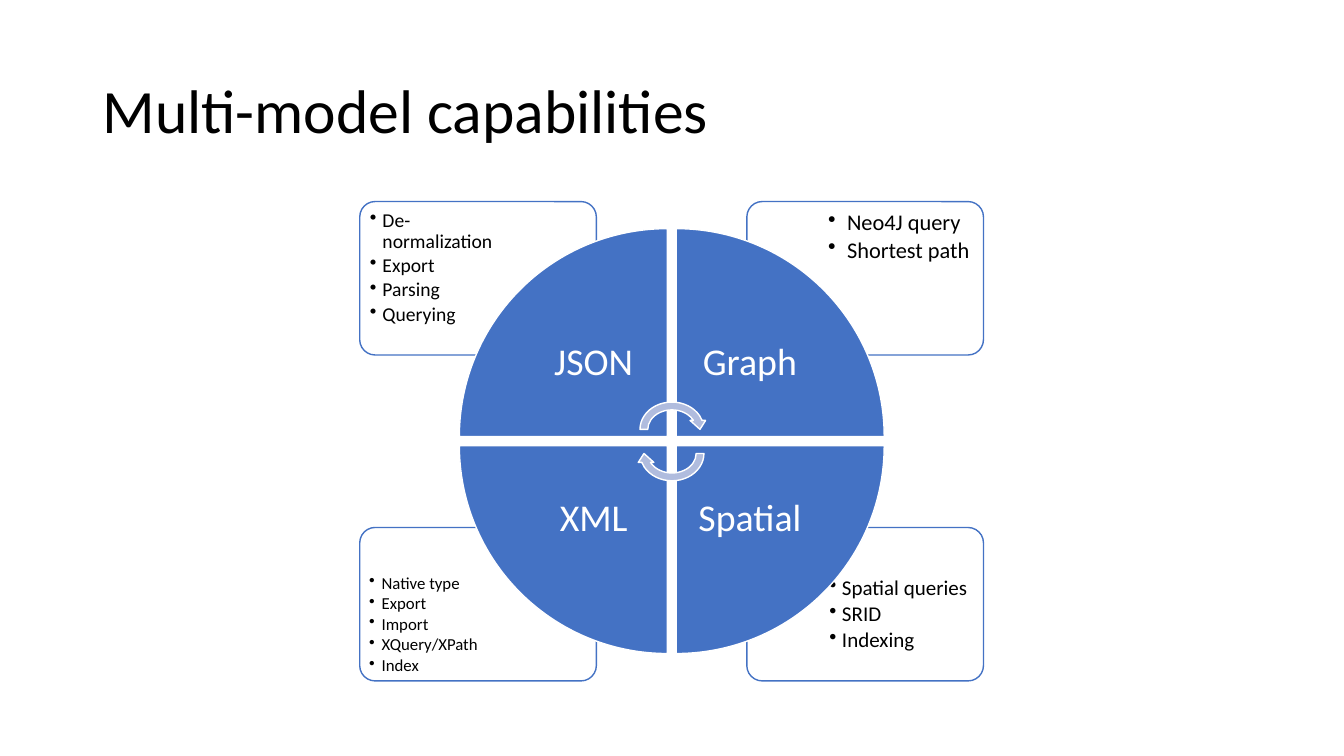
from lxml.etree import SubElement
from pptx import Presentation
from pptx.dml.color import RGBColor
from pptx.enum.shapes import MSO_SHAPE as Preset
from pptx.enum.text import MSO_ANCHOR as Anchor, MSO_AUTO_SIZE as AutoSize, PP_ALIGN as Align
from pptx.oxml.ns import qn
from pptx.util import Pt


def colour(code):
    return RGBColor.from_string(code)


class ModelSlide:
    font = "Calibri"
    blue, pale, white, black = "4472C4", "B0BCDE", "FFFFFF", "000000"

    def __init__(self, deck):
        self.slide = deck.slides.add_slide(deck.slide_layouts[5])

    def add_text(self, paragraph, text, size, ink):
        paragraph.line_spacing = 0.9
        run = paragraph.add_run()
        run.text = text
        run.font.name = self.font
        run.font.size = Pt(size)
        run.font.color.rgb = colour(ink)

    def title(self, text, x, y, width, height):
        heading = self.slide.shapes.title
        heading.left, heading.top = Pt(x), Pt(y)
        heading.width, heading.height = Pt(width), Pt(height)
        frame = heading.text_frame
        frame.word_wrap = True
        frame.auto_size = AutoSize.NONE
        frame.vertical_anchor = Anchor.MIDDLE
        frame.paragraphs[0].alignment = Align.LEFT
        self.add_text(frame.paragraphs[0], text, 44, self.black)

    def shape(self, preset, x, y, width, height, fill, line, turn=0):
        item = self.slide.shapes.add_shape(preset, Pt(x), Pt(y), Pt(width), Pt(height))
        item.shadow.inherit = False
        item.fill.solid()
        item.fill.fore_color.rgb = colour(fill)
        item.line.color.rgb = colour(line)
        item.line.width = Pt(1)
        item.rotation = turn
        return item

    def card(self, x, y):
        card = self.shape(Preset.ROUNDED_RECTANGLE, x, y, 169, 109.6, self.white, self.blue)
        card.adjustments[0] = 0.1
        tint = card._element.spPr.find(qn("a:solidFill"))[0]
        SubElement(tint, qn("a:alpha"), val="90000")

    def frame(self, x, y, width, height, inset):
        box = self.slide.shapes.add_textbox(Pt(x), Pt(y), Pt(width), Pt(height))
        frame = box.text_frame
        frame.word_wrap = True
        frame.margin_left = frame.margin_right = Pt(inset)
        frame.margin_top = frame.margin_bottom = Pt(inset)
        return frame

    def bullets(self, x, y, features, size, inset, indent):
        frame = self.frame(x, y, 113.8, 77.8, inset)
        for index, feature in enumerate(features):
            paragraph = frame.add_paragraph() if index else frame.paragraphs[0]
            paragraph.level = 1
            props = paragraph._p.get_or_add_pPr()
            props.set("marL", str(Pt(indent)))
            props.set("indent", str(-Pt(indent)))
            SubElement(props, qn("a:buChar"), char="•")
            paragraph.space_after = Pt(0.15 * size)
            self.add_text(paragraph, feature, size, self.black)

    def label(self, x, y, text):
        frame = self.frame(x, y, 105.1, 105.1, 15)
        frame.vertical_anchor = Anchor.MIDDLE
        frame.paragraphs[0].alignment = Align.CENTER
        self.add_text(frame.paragraphs[0], text, 27, self.white)

    def wedge(self, x, y, turn):
        self.shape(Preset.PIE_WEDGE, x, y, 148.5, 148.5, self.blue, self.white, turn)

    def cycle_arrow(self, y, turn):
        self.shape(Preset.CIRCULAR_ARROW, 454.4, y, 51.2, 44.6, self.pale, self.white, turn)


MODELS = [
    ("JSON", 0, 0, 0, ["De-normalization", "Export", "Parsing", "Querying"], 14, 4.2, 9),
    ("Graph", 1, 0, 90, ["Neo4J query", "Shortest path"], 16, 4.8, 13.5),
    ("Spatial", 1, 1, 180, ["Spatial queries", "SRID", "Indexing"], 15, 5.6, 9),
    ("XML", 0, 1, 270, ["Native type", "Export", "Import", "XQuery/XPath", "Index"], 12, 3.6, 9),
]


def main():
    deck = Presentation()
    deck.slide_width, deck.slide_height = Pt(960), Pt(540)
    page = ModelSlide(deck)
    page.title("Multi-model capabilities", 66, 28.75, 828, 104.4)
    for model, column, row, turn, features, size, inset, indent in MODELS:
        page.card(257 + 276.5 * column, 144 + 232.8 * row)
        page.bullets(260 + 326.8 * column, 146.2 + 260.6 * row, features, size, inset, indent)
    for model, column, row, turn, *details in MODELS:
        page.wedge(328.1 + 155 * column, 163.3 + 155 * row, turn)
        page.label(371.5 + 111.6 * column, 206.6 + 111.6 * row, model)
    page.cycle_arrow(284.4, 0)
    page.cycle_arrow(301.6, 180)
    deck.save("out.pptx")


if __name__ == "__main__":
    main()
